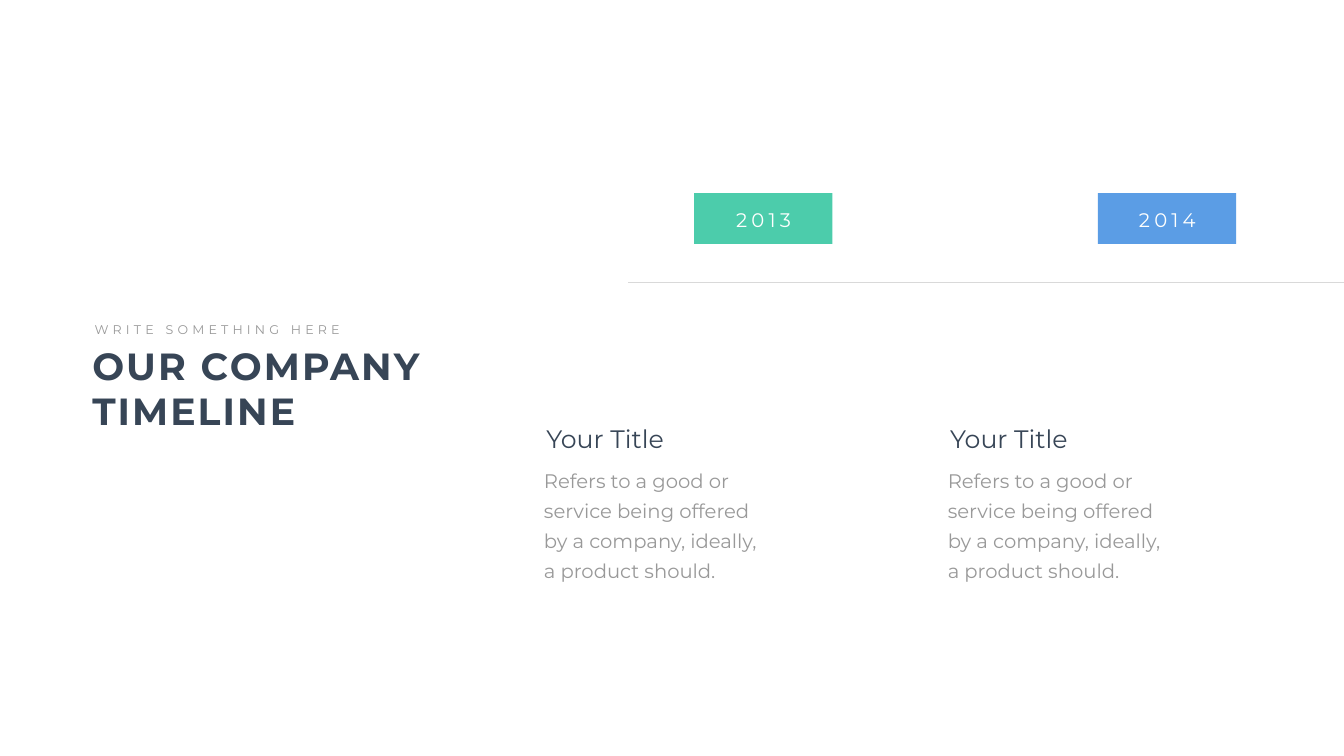
from lxml import etree
from pptx import Presentation
from pptx.dml.color import RGBColor
from pptx.enum.shapes import MSO_CONNECTOR, MSO_SHAPE
from pptx.enum.text import MSO_ANCHOR, MSO_AUTO_SIZE, PP_ALIGN
from pptx.oxml.ns import qn
from pptx.util import Pt

STRAIGHT = MSO_CONNECTOR.STRAIGHT
RECT = MSO_SHAPE.RECTANGLE
TOP = MSO_ANCHOR.TOP
FIXED = MSO_AUTO_SIZE.NONE
LEFT = PP_ALIGN.LEFT
CENTER = PP_ALIGN.CENTER

NAVY = RGBColor(0x37, 0x45, 0x56)
GRAY = RGBColor(0x99, 0x99, 0x99)
RULE = RGBColor(0xD9, 0xD9, 0xD9)
GREEN = RGBColor(0x4C, 0xCC, 0xAB)
BLUE = RGBColor(0x5B, 0x9D, 0xE5)
WHITE = RGBColor(0xFE, 0xFF, 0xFE)

SCALE = 9144
WIDTH, HEIGHT = 2666, 1500
STEP = 801
YEARS = [("2013", GREEN), ("2014", BLUE)]
BODY = "Refers to a good or service being offered by a company, ideally, a product should."


def px(*sizes):
    return [size * SCALE for size in sizes]


class Deck:
    font = "Montserrat"

    def __init__(self, show):
        self.slide = show.slides.add_slide(show.slide_layouts[5])
        self.shapes = self.slide.shapes

    def label(self, shape, text, size, color, bold=False, track=0,
              align=LEFT, wrap=True, pad=(10, 5), lead=None):
        frame = shape.text_frame
        frame.word_wrap = wrap
        frame.auto_size = FIXED
        frame.vertical_anchor = TOP
        side, edge = px(*pad)
        frame.margin_left = frame.margin_right = side
        frame.margin_top = frame.margin_bottom = edge
        para = frame.paragraphs[0]
        para.alignment = align
        if lead:
            para.line_spacing = Pt(lead)
        run = para.add_run()
        run.text = text
        run.font.name = self.font
        run.font.size = Pt(size)
        run.font.bold = bold
        run.font.color.rgb = color
        if track:
            run._r.get_or_add_rPr().set("spc", str(track * 100))

    def title(self, box, text, size, color, **style):
        shape = self.shapes.title
        shape.left, shape.top, shape.width, shape.height = px(*box)
        self.label(shape, text, size, color, **style)

    def text(self, box, text, size, color, **style):
        self.label(self.shapes.add_textbox(*px(*box)), text, size, color, **style)

    def block(self, box, color):
        shape = self.shapes.add_shape(RECT, *px(*box))
        shape.shadow.inherit = False
        shape.fill.solid()
        shape.fill.fore_color.rgb = color
        shape.line.fill.background()

    def line(self, ends, color, weight):
        line = self.shapes.add_connector(STRAIGHT, *px(*ends))
        line.line.color.rgb = color
        line.line.width = Pt(weight)
        etree.SubElement(line._element.spPr, qn("a:effectLst"))


def main():
    show = Presentation()
    show.slide_width, show.slide_height = px(WIDTH, HEIGHT)
    deck = Deck(show)
    deck.title((173, 674, 743, 192), "OUR COMPANY TIMELINE", 54, NAVY, bold=True, track=3)
    deck.text((178, 633, 518, 40), "WRITE SOMETHING HERE", 18, GRAY, track=6, wrap=False)
    deck.line((1246, 560, WIDTH, 560), RULE, 0.5)
    for index, (year, color) in enumerate(YEARS):
        shift = index * STEP
        deck.text((1055 + shift, 905, 481, 260), BODY, 28, GRAY, pad=(24, 12), lead=43)
        deck.text((1074 + shift, 834, 481, 71), "Your Title", 36, NAVY)
        deck.block((1377 + shift, 383, 274, 101), color)
        deck.text((1410 + shift, 408, 209, 57), year, 28, WHITE, track=6, align=CENTER)
    show.save("out.pptx")


if __name__ == "__main__":
    main()
